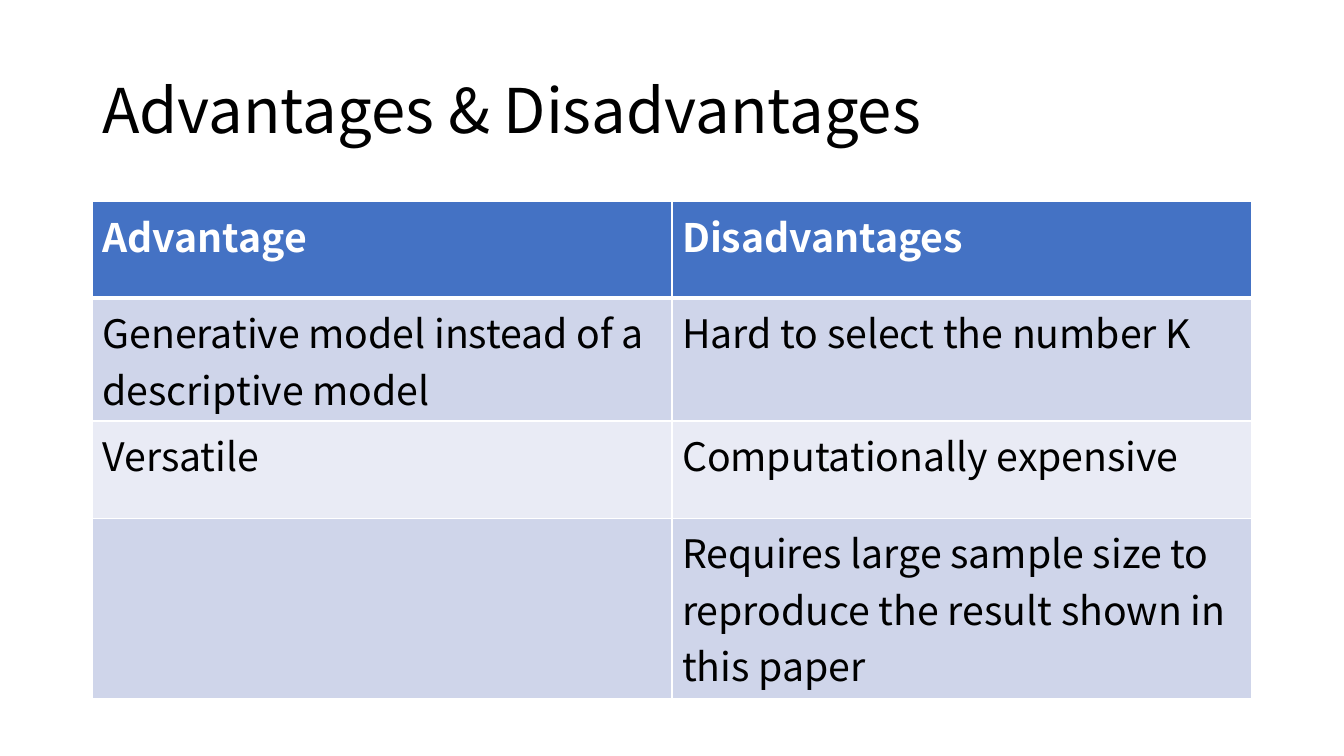
import pptx
import pptx.dml.color
import pptx.enum.text
import pptx.oxml
import pptx.oxml.ns
import pptx.util

Cm = pptx.util.Cm
Pt = pptx.util.Pt

FONT = "Noto Sans CJK SC"
BLACK, WHITE = "000000", "FFFFFF"
HEAD = "4472C4"
BANDS = ["CFD5EA", "E9EBF5"]
LEFT, WIDTH = 2.33, 29.21

# Row height in cm, then the texts of both columns.
ROWS = [
    (2.43, "Advantage", "Disadvantages"),
    (3.1, "Generative model instead of a descriptive model",
     "Hard to select the number K"),
    (2.45, "Versatile", "Computationally expensive"),
    (4.55, "",
     "Requires large sample size to reproduce the result shown in this paper"),
]


def color(code):
    return pptx.dml.color.RGBColor.from_string(code)


def add_run(para, text, size, tint, bold=False):
    run = para.add_run()
    run.text = text
    run.font.name = FONT
    run.font.size = Pt(size)
    run.font.bold = bold
    run.font.color.rgb = color(tint)


def add_title(slide, text):
    box = slide.shapes.add_textbox(Cm(LEFT), Cm(1.01), Cm(WIDTH), Cm(3.68))
    frame = box.text_frame
    frame.word_wrap = True
    frame.vertical_anchor = pptx.enum.text.MSO_ANCHOR.MIDDLE
    para = frame.paragraphs[0]
    para.line_spacing = 0.9
    add_run(para, text, 44, BLACK)


def add_edge(cell, side, width):
    """Draw one white border; side is L, R, T or B."""
    space = pptx.oxml.ns.nsdecls("a")
    line = pptx.oxml.parse_xml(
        f'<a:ln{side} {space} w="{Pt(width)}"><a:solidFill>'
        f'<a:srgbClr val="{WHITE}"/></a:solidFill></a:ln{side}>')
    cell._tc.get_or_add_tcPr().append(line)


def fill_cell(cell, text, row):
    head = row == 0
    edges = {"L": 1, "R": 1, "T": 3 if row == 1 else 1, "B": 3 if head else 1}
    for side, width in edges.items():
        add_edge(cell, side, width)
    cell.fill.solid()
    cell.fill.fore_color.rgb = color(HEAD if head else BANDS[(row - 1) % 2])
    if text:
        para = cell.text_frame.paragraphs[0]
        add_run(para, text, 28, WHITE if head else BLACK, head)


def add_grid(slide, rows):
    total = sum(height for height, *_ in rows)
    frame = slide.shapes.add_table(
        len(rows), 2, Cm(LEFT), Cm(5.08), Cm(WIDTH), Cm(total))
    for r, (height, *texts) in enumerate(rows):
        frame.table.rows[r].height = Cm(height)
        for c, text in enumerate(texts):
            fill_cell(frame.table.cell(r, c), text, r)


def main():
    deck = pptx.Presentation()
    deck.slide_width, deck.slide_height = Cm(33.87), Cm(19.05)
    slide = deck.slides.add_slide(deck.slide_layouts[6])
    add_title(slide, "Advantages & Disadvantages")
    add_grid(slide, ROWS)
    deck.save("out.pptx")


if __name__ == "__main__":
    main()
